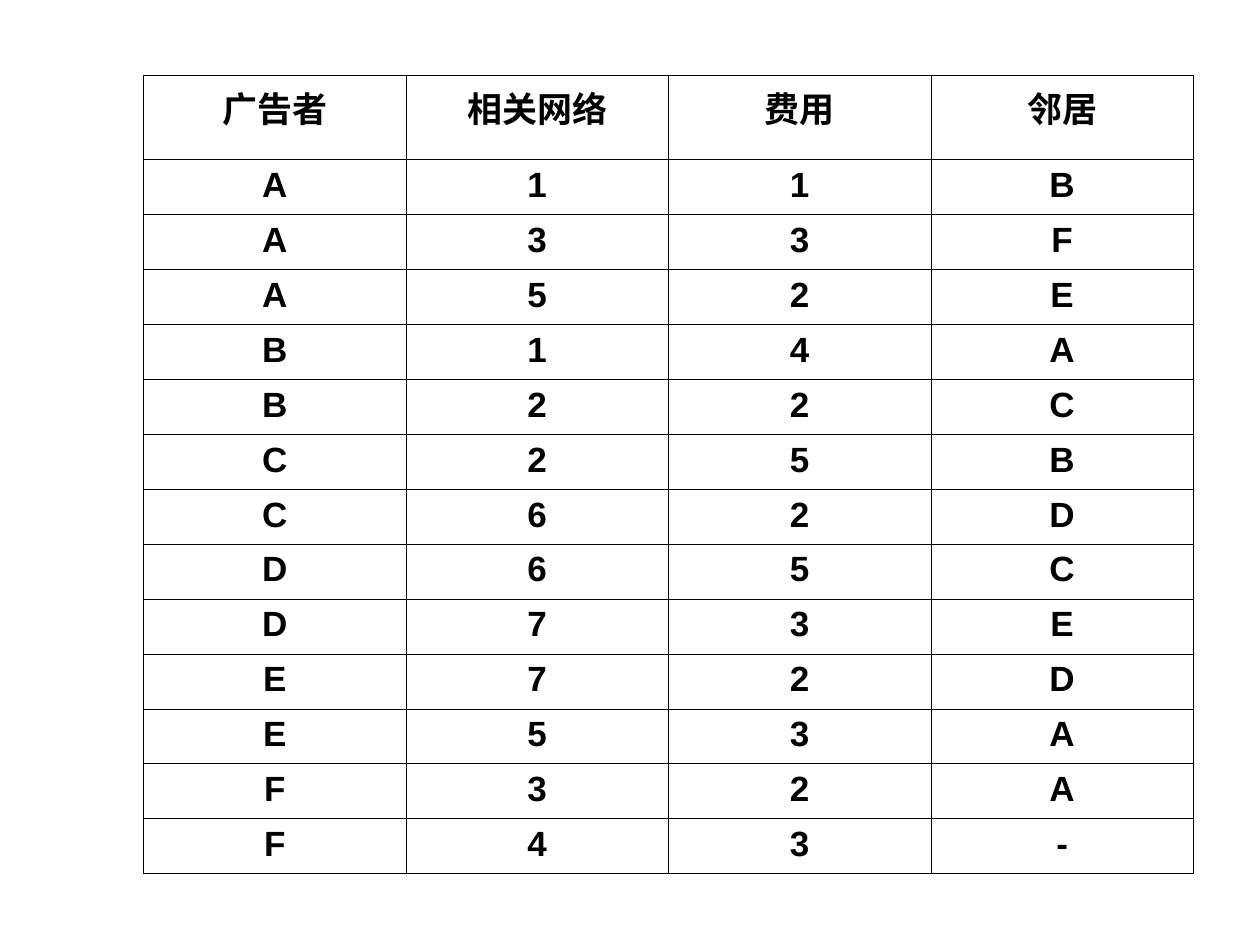
from dataclasses import astuple, dataclass

import pptx
import pptx.dml.color
import pptx.enum.text
import pptx.oxml
import pptx.oxml.ns
import pptx.table
import pptx.util

Pt = pptx.util.Pt

COLORS = {"ink": "000000"}
LATIN_FONT = "Arial"
CJK_FONT = "Noto Sans CJK SC"
LEFT, TOP = 82, 43
COLUMN_WIDTH = 150
HEADER_HEIGHT, ROW_HEIGHT = 48, 31.43
BORDER_WIDTH = 0.45


@dataclass(frozen=True)
class LinkState:
    advertiser: str
    network: str
    cost: str
    neighbor: str


HEADER = LinkState("广告者", "相关网络", "费用", "邻居")
LINKS = [
    LinkState(*entry)
    for entry in (
        "A11B", "A33F", "A52E", "B14A", "B22C", "C25B", "C62D",
        "D65C", "D73E", "E72D", "E53A", "F32A", "F43-",
    )
]


def set_borders(cell: pptx.table._Cell) -> None:
    """Draw thin lines on all four sides; call before the fill is set."""
    tc_pr = cell._tc.get_or_add_tcPr()
    for side in ("lnL", "lnR", "lnT", "lnB"):
        tc_pr.append(pptx.oxml.parse_xml(
            f'<a:{side} {pptx.oxml.ns.nsdecls("a")} w="{Pt(BORDER_WIDTH)}">'
            f'<a:solidFill><a:srgbClr val="{COLORS["ink"]}"/></a:solidFill>'
            f'</a:{side}>'
        ))


def write_cell(cell: pptx.table._Cell, text: str, font: str) -> None:
    set_borders(cell)
    cell.fill.background()
    cell.text = text
    p = cell.text_frame.paragraphs[0]
    p.alignment = pptx.enum.text.PP_ALIGN.CENTER
    p.font.size = Pt(20)
    p.font.bold = True
    p.font.color.rgb = pptx.dml.color.RGBColor.from_string(COLORS["ink"])
    p.font.name = font
    p.font._element.append(pptx.oxml.parse_xml(
        f'<a:ea {pptx.oxml.ns.nsdecls("a")} typeface="{CJK_FONT}"/>'
    ))


def add_link_table(s: pptx.slide.Slide, records: list[LinkState]) -> None:
    rows = [astuple(record) for record in records]
    columns = len(rows[0])
    height = HEADER_HEIGHT + ROW_HEIGHT * (len(rows) - 1)
    table = s.shapes.add_table(
        len(rows), columns, Pt(LEFT), Pt(TOP),
        Pt(COLUMN_WIDTH * columns), Pt(height),
    ).table
    table.horz_banding = False
    table.first_row = False
    for column in table.columns:
        column.width = Pt(COLUMN_WIDTH)
    for i, values in enumerate(rows):
        table.rows[i].height = Pt(ROW_HEIGHT if i else HEADER_HEIGHT)
        for j, text in enumerate(values):
            write_cell(table.cell(i, j), text, LATIN_FONT if i else CJK_FONT)


def main() -> None:
    prs = pptx.Presentation()
    prs.slide_width, prs.slide_height = Pt(720), Pt(540)
    s = prs.slides.add_slide(prs.slide_layouts[6])
    add_link_table(s, [HEADER, *LINKS])
    prs.save("out.pptx")


if __name__ == "__main__":
    main()
